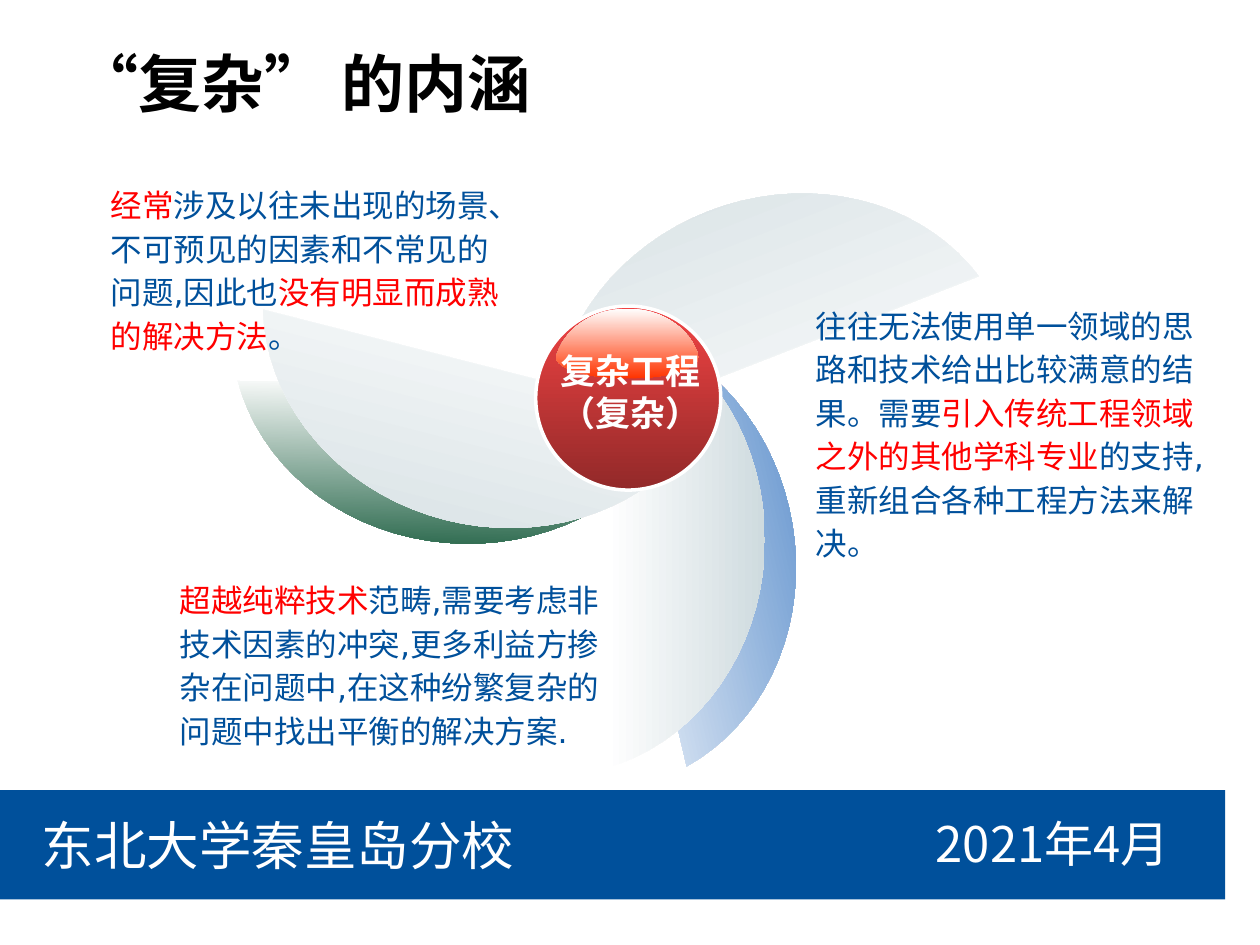
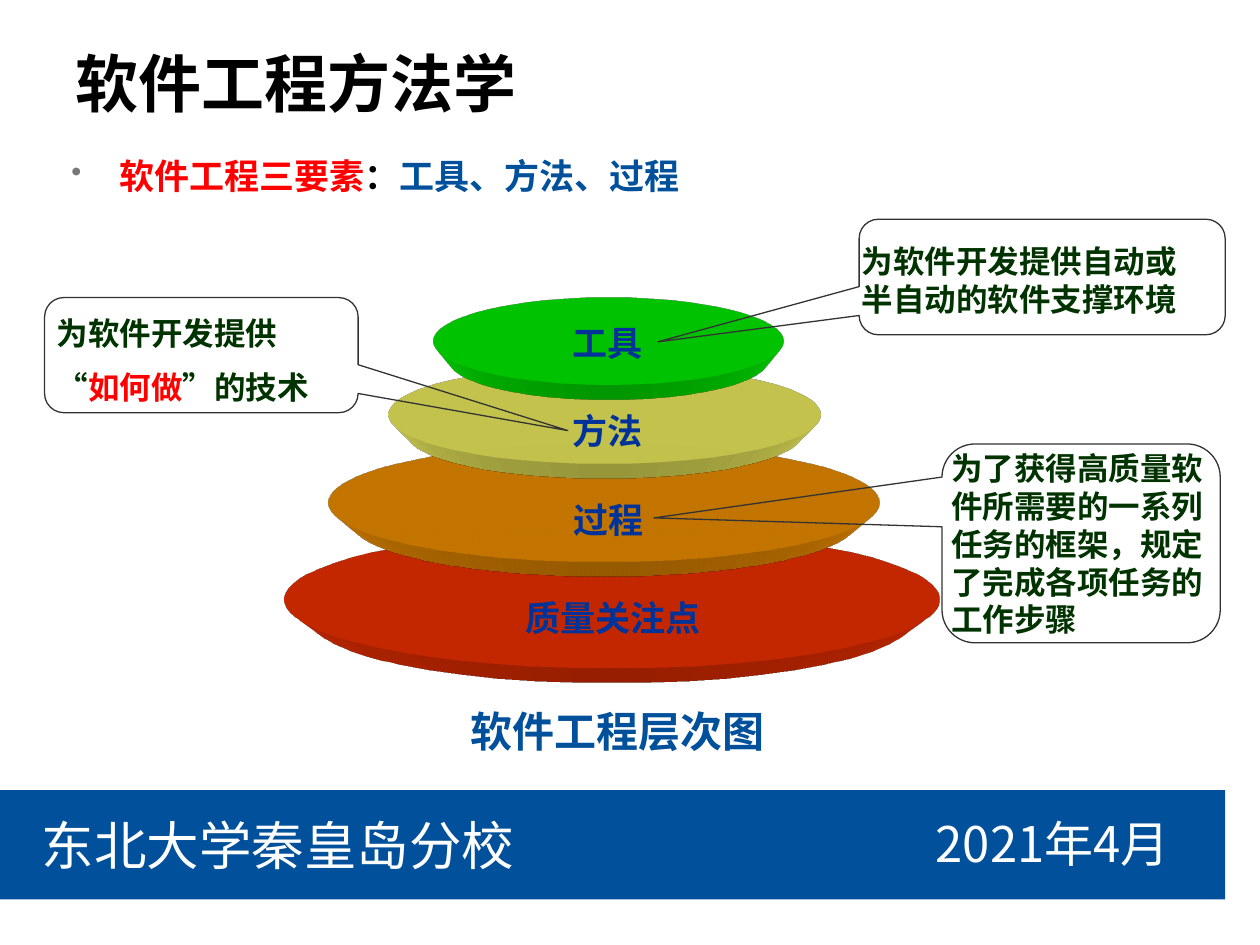
from math import cos, pi, sin

from lxml.etree import SubElement
from pptx import Presentation
from pptx.dml.color import RGBColor
from pptx.enum.shapes import MSO_SHAPE
from pptx.enum.text import MSO_ANCHOR, PP_ALIGN
from pptx.oxml.ns import qn
from pptx.util import Cm, Pt

BLUE, RED, WHITE, BLACK = "00509B", "FF0000", "FFFFFF", "000000"
NAVY, DARK_GREEN, GREY = "003399", "003300", "CFDBDF"
CJK, SANS, SERIF, TITLE = "Noto Sans CJK SC", "DejaVu Sans", "Times New Roman", "Karla"
CENTER = PP_ALIGN.CENTER


def rgb(value):
    return RGBColor.from_string(value)


def arc(center_x, center_y, radius_x, radius_y, start, end, steps):
    """Points on an ellipse, angles in degrees, clockwise from the right."""
    angles = [(start + (end - start) * i / steps) * pi / 180 for i in range(steps + 1)]
    return [(center_x + radius_x * cos(a), center_y + radius_y * sin(a)) for a in angles]


class Deck:
    def __init__(self):
        self.deck = Presentation()
        self.deck.slide_width, self.deck.slide_height = Cm(25.4), Cm(19.05)
        self.page = None

    def new_page(self, title):
        self.page = self.deck.slides.add_slide(self.deck.slide_layouts[5])
        self.shape(MSO_SHAPE.RECTANGLE, 0, 15.93, 24.7, 2.2, BLUE)
        self.text(0.59, 16.27, 10.13, 1.55, ["东北大学秦皇岛分校"], 30, WHITE, CJK, wrap=False)
        self.text(18.26, 16.28, 5.92, 1.32, ["2021年4月"], 28, WHITE, CJK, align=CENTER)
        box = self.page.shapes.title
        box.left, box.top, box.width, box.height = Cm(1.27), Cm(0.74), Cm(22.15), Cm(1.83)
        box.text_frame.vertical_anchor = MSO_ANCHOR.MIDDLE
        para = box.text_frame.paragraphs[0]
        para.add_run().text = title
        para.alignment = PP_ALIGN.LEFT
        self.set_font(para, 36, BLACK, TITLE, True)

    def set_font(self, para, size, color, name, bold=False):
        font = para.font
        font.size, font.name, font.bold = Pt(size), name, bold
        font.color.rgb = rgb(color)
        SubElement(font._element, qn("a:ea"), typeface=CJK)

    def text(self, left, top, width, height, paragraphs, size, color, name, bold=False,
             align=PP_ALIGN.LEFT, spacing=None, gap=0, wrap=True, bullet=None):
        """A paragraph is a string or a list of (text, color, font name) parts."""
        box = self.page.shapes.add_textbox(Cm(left), Cm(top), Cm(width), Cm(height))
        frame = box.text_frame
        frame.word_wrap = wrap
        for index, content in enumerate(paragraphs):
            para = frame.add_paragraph() if index else frame.paragraphs[0]
            para.alignment = align
            if index and gap:
                para.space_before = Pt(gap)
            if spacing:
                para.line_spacing = spacing
            if bullet:
                self.add_bullet(para, bullet)
            self.set_font(para, size, color, name, bold)
            parts = [(content, None, None)] if isinstance(content, str) else content
            for words, part_color, part_font in parts:
                span = para.add_run()
                span.text = words
                if part_color:
                    span.font.color.rgb = rgb(part_color)
                if part_font:
                    span.font.name = part_font

    def add_bullet(self, para, mark):
        properties = para._p.get_or_add_pPr()
        properties.set("marL", str(Cm(0.96)))
        properties.set("indent", str(-Cm(0.96)))
        SubElement(SubElement(properties, qn("a:buClr")), qn("a:srgbClr"), val="777777")
        SubElement(properties, qn("a:buSzPct"), val="85000")
        SubElement(properties, qn("a:buChar"), char=mark)

    def paint(self, shape, fill, line=None, line_width=1, angle=0):
        """Fill is None, one colour, or a pair of colours for a gradient."""
        shape.shadow.inherit = False
        if fill is None:
            shape.fill.background()
        elif isinstance(fill, str):
            shape.fill.solid()
            shape.fill.fore_color.rgb = rgb(fill)
        else:
            shape.fill.gradient()
            shape.fill.gradient_angle = angle
            for stop, color in zip(shape.fill.gradient_stops, fill):
                stop.color.rgb = rgb(color)
        if line:
            shape.line.color.rgb = rgb(line)
            shape.line.width = Pt(line_width)
        else:
            shape.line.fill.background()
        return shape

    def shape(self, kind, left, top, width, height, fill, **style):
        shape = self.page.shapes.add_shape(kind, Cm(left), Cm(top), Cm(width), Cm(height))
        return self.paint(shape, fill, **style)

    def outline(self, points, fill, **style):
        points = [(Cm(x), Cm(y)) for x, y in points]
        builder = self.page.shapes.build_freeform(*points[0], scale=1.0)
        builder.add_line_segments(points[1:], close=True)
        return self.paint(builder.convert_to_shape(), fill, **style)

    def blade(self, left, top, rotation, color):
        """An ellipse segment with its flat side on the left, then turned."""
        points = arc(left - 1.04, top + 4.61, 4.24, 4.75, -75.8, 75.8, 36)
        self.outline(points, (WHITE, color)).rotation = rotation

    def disc(self, left, top, width, height, color):
        """An ellipse extruded downwards in perspective."""
        shape = self.shape(MSO_SHAPE.OVAL, left, top, width, height, color)
        properties = shape._element.spPr
        scene = SubElement(properties, qn("a:scene3d"))
        SubElement(scene, qn("a:camera"), prst="legacyPerspectiveBottom")
        SubElement(scene, qn("a:lightRig"), rig="legacyFlat3", dir="b")
        solid = SubElement(properties, qn("a:sp3d"), extrusionH="887400",
                           prstMaterial="legacyMatte")
        SubElement(SubElement(solid, qn("a:extrusionClr")), qn("a:srgbClr"), val=color)

    def callout(self, left, top, width, height, tip_x, tip_y):
        shape = self.shape(MSO_SHAPE.ROUNDED_RECTANGULAR_CALLOUT, left, top, width, height,
                           None, line="333333", line_width=0.75)
        shape.adjustments[0], shape.adjustments[1] = tip_x, tip_y


def build_meaning_page(deck):
    deck.new_page("“复杂” 的内涵")
    for blade in [(12.75, 5.99, 346.8, "447EC4"), (7.77, 4.75, 91, "2A684C"),
                  (12.22, 6.27, 0, GREY), (7.77, 4.32, 104.3, GREY),
                  (13.26, 1.14, 248.7, GREY)]:
        deck.blade(*blade)

    deck.shape(MSO_SHAPE.OVAL, 10.8, 6.17, 3.73, 3.71, ("F14343", "922929"),
               line=WHITE, line_width=2, angle=270)
    gloss = arc(12.65, 7.49, 1.48, 1.27, 194, 346, 24) + arc(12.65, 7.2, 1.44, 0.43, 0, 180, 24)
    deck.outline(gloss, (WHITE, "FF3300"), angle=270)
    deck.text(10.12, 6.92, 5.18, 1.96, ["复杂工程", "（复杂）"], 20, WHITE, CJK, True, CENTER)

    notes = [
        (3.37, 11.48, 9.45, 3.78, [
            ("超越纯粹技术", RED, None),
            ("范畴,需要考虑非技术因素的冲突,更多利益方掺杂在问题中,"
             "在这种纷繁复杂的问题中找出平衡的解决方案.", None, None)]),
        (1.98, 3.52, 8.48, 3.78, [
            ("经常", RED, None),
            ("涉及以往未出现的场景、不可预见的因素和不常见的问题,因此也", None, None),
            ("没有明显而成熟的解决方法", RED, None),
            ("。", None, None)]),
        (16.2, 5.95, 8.61, 5.46, [
            ("往往无法使用单一领域的思路和技术给出比较满意的结果。需要", None, None),
            ("引入传统工程领域之外的其他学科专业", RED, None),
            ("的支持,重新组合各种工程方法来解决。", None, None)]),
    ]
    for left, top, width, height, parts in notes:
        deck.text(left, top, width, height, [parts], 18, BLUE, SANS, spacing=1.15)


def build_method_page(deck):
    deck.new_page("软件工程方法学")
    elements = [("软件工程三要素", RED, None), ("：", None, None),
                ("工具、方法、过程", BLUE, None)]
    deck.text(1.19, 2.77, 22.81, 2.39, [elements], 20, BLACK, SERIF, True,
              spacing=1.25, bullet="•")

    deck.disc(5.74, 10.7, 13.21, 2.74, "FF3300")
    deck.disc(6.63, 8.95, 11.1, 2.36, "FF9900")
    deck.disc(7.84, 7.37, 8.71, 1.96, "FFFF66")
    deck.disc(8.73, 5.99, 7.06, 1.75, "00FF00")
    for label, left, top, width in [("质量关注点", 10.31, 11.91, 4.09),
                                    ("过程", 10.92, 9.93, 2.69),
                                    ("方法", 11.2, 8.13, 2.08),
                                    ("工具", 11.2, 6.35, 2.08)]:
        deck.text(left, top, width, 1.12, [label], 20, NAVY, SANS, True, CENTER)
    deck.text(7.34, 14.1, 10.21, 1.27, ["软件工程层次图"], 24, BLUE, SANS, True, CENTER)

    deck.callout(18.99, 8.95, 5.61, 4.01, -1.535, -0.128)
    deck.callout(17.32, 4.42, 7.38, 2.33, -1.05, 0.561)
    deck.callout(0.9, 6, 6.32, 2.32, 1.169, 0.656)
    how_to = [("“", None, CJK), ("如何做", RED, None), ("”", None, CJK), ("的技术", None, None)]
    for left, top, width, height, paragraphs in [
        (18.93, 8.93, 5.87, 4.11,
         ["为了获得高质量软件所需要的一系列任务的框架，规定了完成各项任务的工作步骤"]),
        (0.89, 6.21, 6.25, 2.18, ["为软件开发提供", how_to]),
        (17.12, 4.75, 7.09, 1.8, ["为软件开发提供自动或半自动的软件支撑环境"]),
    ]:
        deck.text(left, top, width, height, paragraphs, 18, DARK_GREEN, SERIF, True, gap=9)


def main():
    deck = Deck()
    build_meaning_page(deck)
    build_method_page(deck)
    deck.deck.save("out.pptx")


if __name__ == "__main__":
    main()
